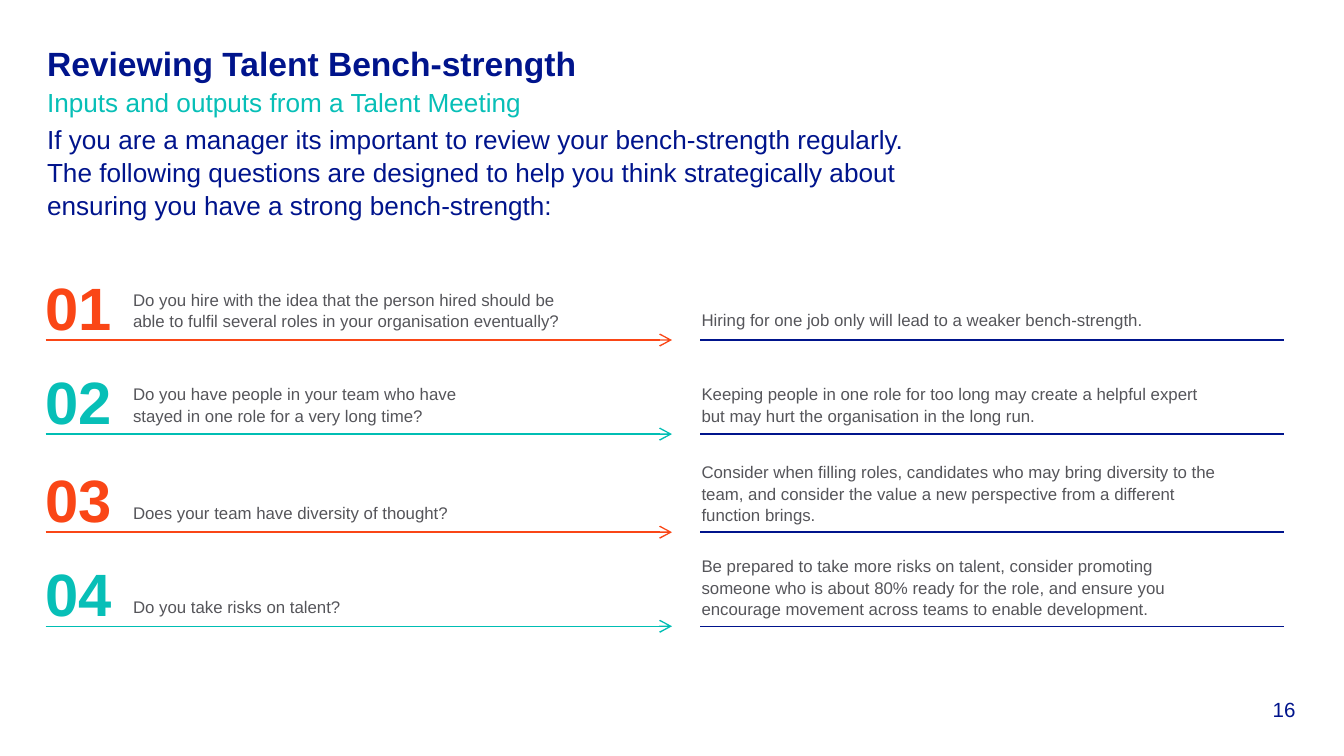
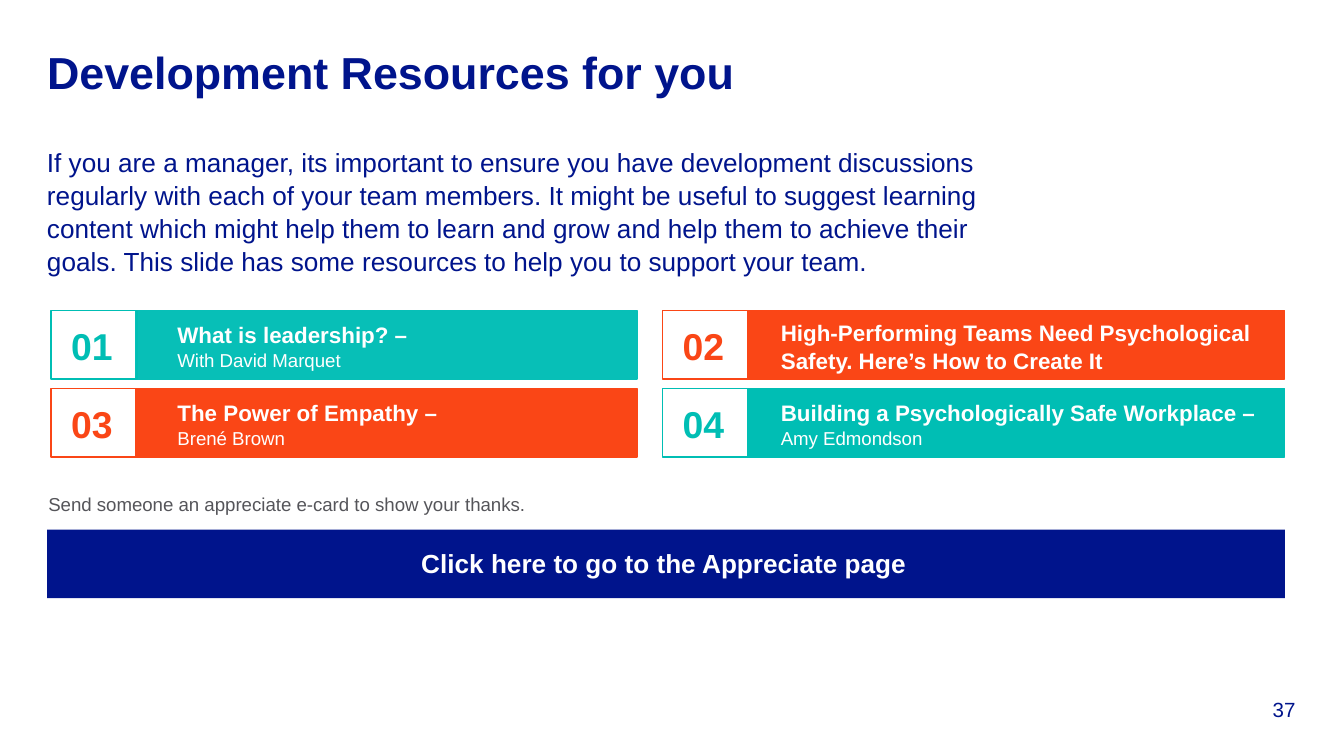
"""Two talent-management slides: bench-strength questions and development resources."""
from dataclasses import dataclass

from lxml import etree
from pptx import Presentation
from pptx import util as u
from pptx.dml.color import RGBColor
from pptx.enum import shapes, text
from pptx.oxml.ns import qn

# The slide is a grid of square cells, 100 columns wide; all lengths are in cells.
CELL = 0.1
COLS, ROWS = 100, 56.25
LEFT = 3.5
FONT = "Arial"
NAVY, ORANGE, GREY, WHITE = "00148C", "FA4616", "55555A", "FFFFFF"
TEAL, SOFT_TEAL = "00BEB4", "07BFB7"

# Bench-strength rows
RULE_LEFT, RULE_SPLIT, ANSWER_LEFT, RULE_RIGHT = 3.4, 50, 52.1, 95.5
SMALL_LINE, RULE_GAP = 1.5, 0.8

# Resource cards
CARD_H, CARD_PITCH, CARD_TOP = 5.1, 5.8, 23.1
BADGE_W = 6.4


@dataclass(frozen=True)
class Question:
    """One numbered question with its answer, standing on a rule."""
    rule_row: float
    ask: str
    ask_width: float
    ask_lines: int
    answer: str
    answer_lines: int


@dataclass(frozen=True)
class CardColumn:
    """Horizontal measures shared by the cards of one column."""
    left: float
    bar_width: float
    text_left: float


@dataclass(frozen=True)
class Card:
    """A numbered resource; colours are for the badge and the bar."""
    heading: str
    speaker: str
    badge: str
    bar: str
    text_width: float
    text_height: float


QUESTIONS = [
    Question(25.3, "Do you hire with the idea that the person hired should be able to "
             "fulfil several roles in your organisation eventually?", 33.7, 2,
             "Hiring for one job only will lead to a weaker bench-strength.", 1),
    Question(32.3, "Do you have people in your team who have stayed in one role for a "
             "very long time?", 27.3, 2,
             "Keeping people in one role for too long may create a helpful expert but "
             "may hurt the organisation in the long run.", 2),
    Question(39.6, "Does your team have diversity of thought?", 38.7, 1,
             "Consider when filling roles, candidates who may bring diversity to the "
             "team, and consider the value a new perspective from a different function "
             "brings.", 3),
    Question(46.6, "Do you take risks on talent?", 38.7, 1,
             "Be prepared to take more risks on talent, consider promoting someone who "
             "is about 80% ready for the role, and ensure you encourage movement across "
             "teams to enable development.", 3),
]

CARD_COLUMNS = [CardColumn(3.8, 37.3, 13.2), CardColumn(49.3, 40, 58.1)]
CARDS = [
    Card("What is leadership? – ", "With David Marquet", TEAL, SOFT_TEAL, 19.3, 3.7),
    Card("High-Performing Teams Need Psychological Safety. Here’s How to Create It", "",
         ORANGE, ORANGE, 35.5, 4),
    Card("The Power of Empathy – ", "Brené Brown", ORANGE, ORANGE, 19.8, 3.7),
    Card("Building a Psychologically Safe Workplace – ", "Amy Edmondson", TEAL, TEAL,
         36.3, 3.7),
]


def cells(n: float) -> int:
    """Length of n grid cells."""
    return u.Inches(round(n * CELL, 3))


def rgb(code: str) -> RGBColor:
    """Colour from a hex string."""
    return RGBColor.from_string(code)


def add_run(p, words: str, *, size: float, color: str, bold: bool = False) -> None:
    """Append a formatted run to a paragraph."""
    r = p.add_run()
    r.text = words
    r.font.name, r.font.size, r.font.bold = FONT, u.Pt(size), bold
    r.font.color.rgb = rgb(color)


def set_frame(tf, anchor=text.MSO_ANCHOR.TOP, fit=text.MSO_AUTO_SIZE.SHAPE_TO_FIT_TEXT):
    """Remove the insets, wrap the text and set anchor and fit."""
    tf.margin_left = tf.margin_right = tf.margin_top = tf.margin_bottom = 0
    tf.word_wrap, tf.auto_size, tf.vertical_anchor = True, fit, anchor


def add_text(s, words: str, left: float, top: float, width: float, height: float, *,
             size: float, color: str, bold: bool = False, align=text.PP_ALIGN.LEFT,
             anchor=text.MSO_ANCHOR.TOP, spacing: float = 1.05):
    """Add a one-paragraph text box and return its paragraph."""
    sp = s.shapes.add_textbox(cells(left), cells(top), cells(width), cells(height))
    set_frame(sp.text_frame, anchor)
    p = sp.text_frame.paragraphs[0]
    p.alignment, p.line_spacing = align, spacing
    add_run(p, words, size=size, color=color, bold=bold)
    return p


def add_rect(s, left: float, top: float, width: float, height: float, *,
             fill: str = "", line: str = "") -> None:
    """Add a rectangle; an empty colour means no fill or no line."""
    sp = s.shapes.add_shape(shapes.MSO_SHAPE.RECTANGLE, cells(left), cells(top),
                            cells(width), cells(height))
    sp.shadow.inherit = False
    if fill:
        sp.fill.solid()
        sp.fill.fore_color.rgb = rgb(fill)
    else:
        sp.fill.background()
    if line:
        sp.line.color.rgb, sp.line.width = rgb(line), u.Pt(0.75)
    else:
        sp.line.fill.background()


def add_rule(s, start: float, end: float, row: float, color: str,
             arrow: bool = False) -> None:
    """Add a horizontal line, with an arrowhead at its end if asked."""
    cx = s.shapes.add_connector(shapes.MSO_CONNECTOR.STRAIGHT, cells(start), cells(row),
                                cells(end), cells(row))
    cx.line.color.rgb, cx.line.width = rgb(color), u.Pt(0.75)
    if arrow:
        etree.SubElement(cx.line._get_or_add_ln(), qn("a:tailEnd"), type="arrow")
    etree.SubElement(cx._element.spPr, qn("a:effectLst"))


def add_slide(prs, title: str, size: float, page: int, subtitle: str = ""):
    """Add a title-only slide with its title, optional subtitle and page number."""
    s = prs.slides.add_slide(prs.slide_layouts[5])
    sp = s.shapes.title
    sp.left, sp.top, sp.width, sp.height = map(cells, (LEFT, 2.9, 92.9, 4.9))
    set_frame(sp.text_frame, fit=text.MSO_AUTO_SIZE.NONE)
    p = sp.text_frame.paragraphs[0]
    p.alignment, p.line_spacing = text.PP_ALIGN.LEFT, 1.1
    add_run(p, title, size=size, color=NAVY, bold=True)
    if subtitle:
        p.add_line_break()
        add_run(p, subtitle, size=14, color=SOFT_TEAL)
    add_text(s, str(page), 90.6, 51.8, 5.8, 1.9, size=11, color=NAVY,
             align=text.PP_ALIGN.RIGHT, anchor=text.MSO_ANCHOR.BOTTOM)
    return s


def add_question(s, number: int, q: Question) -> None:
    """Draw a question and its answer above their two rules."""
    odd = number % 2
    add_text(s, f"{number:02}", RULE_LEFT, q.rule_row - 5.4, 16.9, 5.4, size=32,
             color=ORANGE if odd else SOFT_TEAL, bold=True)
    for words, left, width, lines in (
            (q.ask, 9.9, q.ask_width, q.ask_lines),
            (q.answer, 52.2, 38.7, q.answer_lines)):
        height = lines * SMALL_LINE
        add_text(s, words, left, q.rule_row - RULE_GAP - height, width, height,
                 size=9, color=GREY)
    add_rule(s, RULE_LEFT, RULE_SPLIT, q.rule_row, ORANGE if odd else TEAL, arrow=True)
    add_rule(s, ANSWER_LEFT, RULE_RIGHT, q.rule_row, NAVY)


def add_card(s, index: int, card: Card) -> None:
    """Draw a resource card, counting across two columns and then down."""
    row, col = divmod(index, 2)
    c = CARD_COLUMNS[col]
    top = CARD_TOP + row * CARD_PITCH
    add_rect(s, c.left + BADGE_W - 0.1, top, c.bar_width, CARD_H,
             fill=card.bar, line=card.bar)
    add_rect(s, c.left, top, BADGE_W, CARD_H, line=card.badge)
    add_text(s, f"{index + 1:02}", c.left + 1.5, top + 0.8, 4.3, 3.4, size=20,
             color=card.badge, bold=True)
    p = add_text(s, card.heading, c.text_left, top + (CARD_H - card.text_height) / 2,
                 card.text_width, card.text_height, size=12, color=WHITE, bold=True)
    if card.speaker:
        add_run(p, card.speaker, size=10, color=WHITE)


def bench_strength_slide(prs) -> None:
    """Build the slide of review questions."""
    s = add_slide(prs, "Reviewing Talent Bench-strength", 18, 16,
                  "Inputs and outputs from a Talent Meeting")
    add_text(s, "If you are a manager its important to review your bench-strength "
             "regularly. The following questions are designed to help you think "
             "strategically about ensuring you have a strong bench-strength:",
             LEFT, 9.1, 65.5, 7.1, size=14, color=NAVY)
    for number, q in enumerate(QUESTIONS, 1):
        add_question(s, number, q)


def resources_slide(prs) -> None:
    """Build the slide of development resources."""
    s = add_slide(prs, "Development Resources for you", 24, 37)
    add_text(s, "If you are a manager, its important to ensure you have development "
             "discussions regularly with each of your team members. It might be useful "
             "to suggest learning content which might help them to learn and grow and "
             "help them to achieve their goals. This slide has some resources to help "
             "you to support your team.", LEFT, 10.8, 72.6, 9.4, size=14, color=NAVY)
    for index, card in enumerate(CARDS):
        add_card(s, index, card)
    add_text(s, "Send someone an appreciate e-card to show your thanks.",
             3.6, 36.6, 72.6, 1.7, size=10, color=GREY)
    add_rect(s, LEFT, 39.4, 92.1, CARD_H, fill=NAVY)
    add_text(s, "Click here to go to the Appreciate page", LEFT, 40.6, 91.8, 2.4,
             size=14, color=WHITE, bold=True, align=text.PP_ALIGN.CENTER)


prs = Presentation()
prs.slide_width, prs.slide_height = cells(COLS), cells(ROWS)
bench_strength_slide(prs)
resources_slide(prs)
prs.save("out.pptx")
